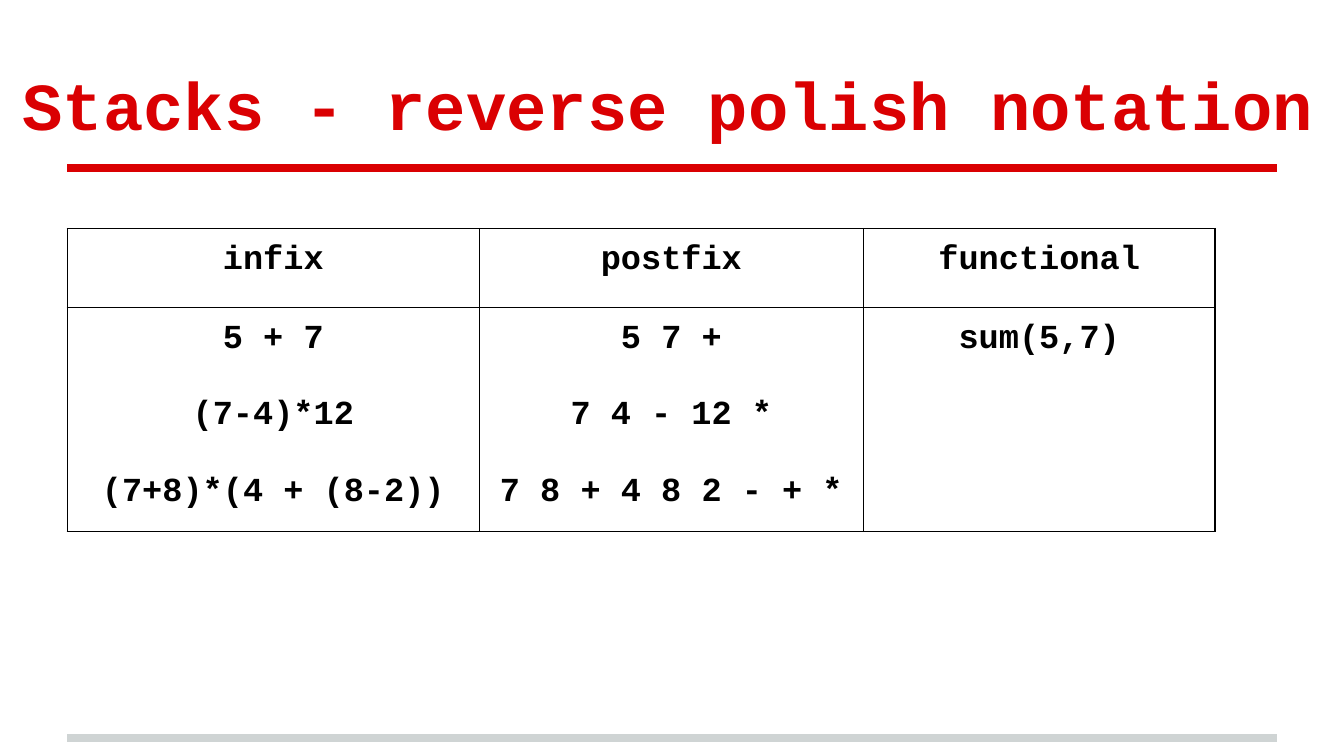
"""Build the slide on stacks and reverse polish notation."""
from dataclasses import dataclass

from lxml.etree import SubElement
from pptx import Presentation
from pptx.dml.color import RGBColor
from pptx.enum.shapes import MSO_CONNECTOR
from pptx.enum.text import MSO_ANCHOR, PP_ALIGN
from pptx.oxml import parse_xml
from pptx.oxml.ns import nsdecls, qn
from pptx.util import Pt


@dataclass(frozen=True)
class Theme:
    font: str = "Courier New"
    red: str = "DA0002"
    grey: str = "CFD4D4"
    black: str = "000000"
    title: float = 36
    body: float = 18
    gap: float = 20.4
    inset: float = 7.2
    rule: float = 4
    border: float = 0.75


THEME = Theme()
LEFT, RIGHT = 36, 684
WIDTHS = (220.8, 205.7, 188.5)
HEIGHTS = (42.3, 116.4)
ROWS = (
    (("infix",), ("postfix",), ("functional",)),
    (
        ("5 + 7", "(7-4)*12", "(7+8)*(4 + (8-2))"),
        ("5 7 +", "7 4 - 12 *", "7 8 + 4 8 2 - + *"),
        ("sum(5,7)",),
    ),
)


def add_run(para, text, size, color):
    run = para.add_run()
    run.text = text
    run.font.name = THEME.font
    run.font.size = Pt(size)
    run.font.bold = True
    run.font.color.rgb = RGBColor.from_string(color)


def set_inset(item):
    item.margin_left = item.margin_right = Pt(THEME.inset)
    item.margin_top = item.margin_bottom = Pt(THEME.inset)


def add_rule(slide, top, color):
    rule = slide.shapes.add_connector(
        MSO_CONNECTOR.STRAIGHT, Pt(LEFT), Pt(top), Pt(RIGHT), Pt(top))
    rule.line.color.rgb = RGBColor.from_string(color)
    rule.line.width = Pt(THEME.rule)
    SubElement(rule._element.spPr, qn("a:effectLst"))


def add_title(slide, text):
    box = slide.shapes.add_textbox(Pt(5), Pt(16.6), Pt(709.2), Pt(67.7))
    frame = box.text_frame
    frame.word_wrap = True
    frame.vertical_anchor = MSO_ANCHOR.BOTTOM
    set_inset(frame)
    add_run(frame.paragraphs[0], text, THEME.title, THEME.red)


def add_border(cell):
    props = cell._tc.get_or_add_tcPr()
    for place, side in enumerate("LRTB"):
        props.insert(place, parse_xml(
            f'<a:ln{side} {nsdecls("a")} w="{Pt(THEME.border)}"><a:solidFill>'
            f'<a:srgbClr val="{THEME.black}"/></a:solidFill></a:ln{side}>'))


def fill_cell(cell, lines):
    set_inset(cell)
    cell.fill.background()
    add_border(cell)
    frame = cell.text_frame
    for index, line in enumerate(lines):
        para = frame.add_paragraph() if index else frame.paragraphs[0]
        para.alignment = PP_ALIGN.CENTER
        if index:
            para.space_before = Pt(THEME.gap)
        add_run(para, line, THEME.body, THEME.black)


def add_grid(slide, top):
    table = slide.shapes.add_table(
        len(HEIGHTS), len(WIDTHS), Pt(LEFT), Pt(top),
        Pt(sum(WIDTHS)), Pt(sum(HEIGHTS))).table
    table.first_row = table.horz_banding = False
    for column, width in zip(table.columns, WIDTHS):
        column.width = Pt(width)
    for row, height, texts in zip(table.rows, HEIGHTS, ROWS):
        row.height = Pt(height)
        for cell, lines in zip(row.cells, texts):
            fill_cell(cell, lines)


def main():
    deck = Presentation()
    deck.slide_width, deck.slide_height = Pt(720), Pt(405)
    slide = deck.slides.add_slide(deck.slide_layouts[6])
    add_rule(slide, 395.5, THEME.grey)
    add_rule(slide, 90, THEME.red)
    add_title(slide, "Stacks - reverse polish notation")
    add_grid(slide, 122.4)
    deck.save("out.pptx")


if __name__ == "__main__":
    main()
